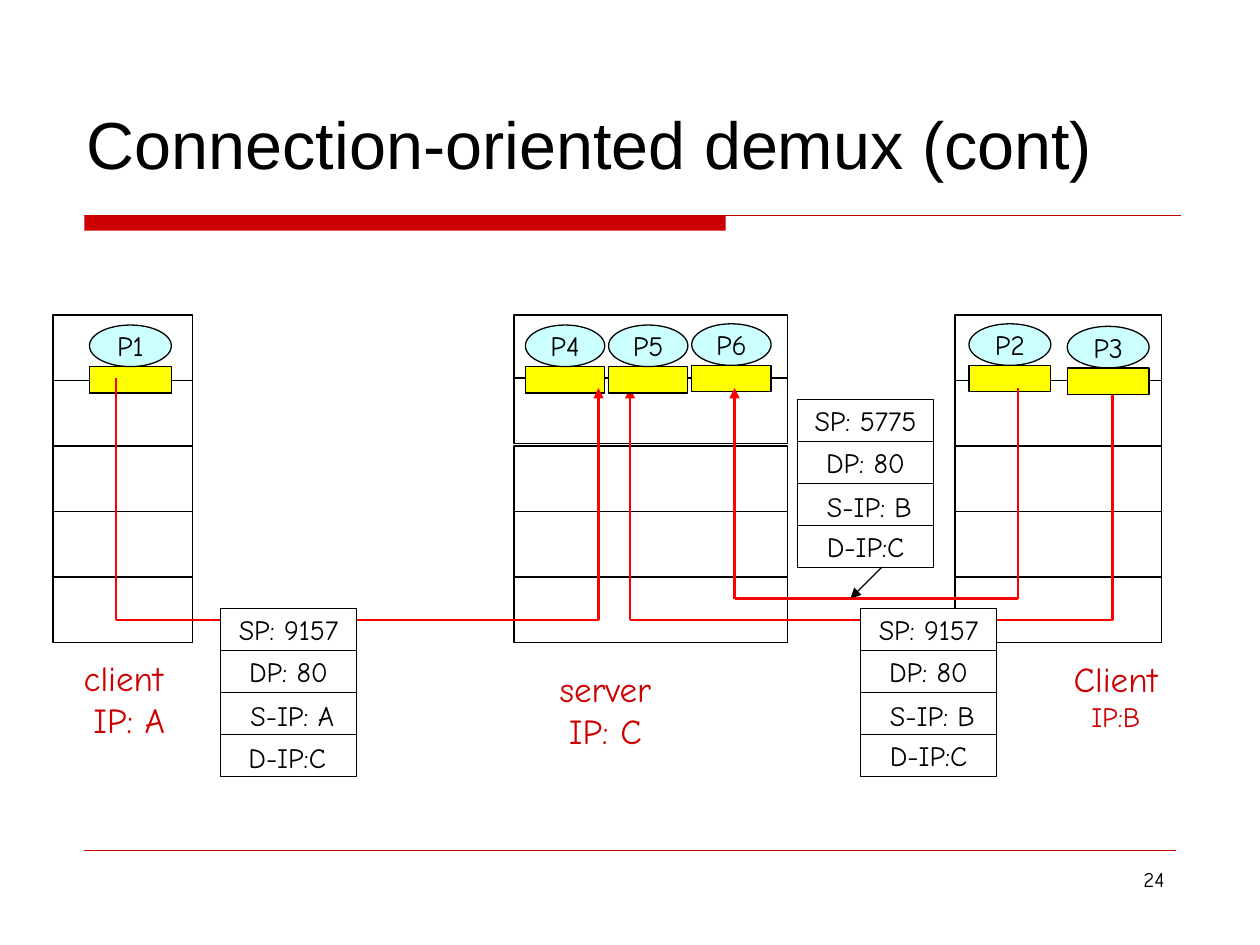
from lxml import etree
from pptx import Presentation
from pptx.dml.color import RGBColor
from pptx.enum.shapes import MSO_CONNECTOR, MSO_SHAPE
from pptx.enum.text import MSO_ANCHOR, PP_ALIGN
from pptx.oxml.ns import qn
from pptx.util import Inches, Pt

RECT, OVAL = MSO_SHAPE.RECTANGLE, MSO_SHAPE.OVAL
STRAIGHT = MSO_CONNECTOR.STRAIGHT
TOP, MIDDLE, BOTTOM = MSO_ANCHOR.TOP, MSO_ANCHOR.MIDDLE, MSO_ANCHOR.BOTTOM
LEFT, CENTER, RIGHT = PP_ALIGN.LEFT, PP_ALIGN.CENTER, PP_ALIGN.RIGHT

COLORS = {
    "black": "000000",
    "white": "FFFFFF",
    "accent": "CC0000",
    "route": "FF0000",
    "socket": "FFFF00",
    "process": "CCFFFF",
}
ROW_H = 0.52
FIELD_W, FIELD_H = 1.08, 1 / 3


def rgb(name):
    return RGBColor.from_string(COLORS[name])


def write(sp, text, size=16, font="Comic Neue", color="black", align=CENTER,
          anchor=MIDDLE, wrap=False, last_size=None):
    tf = sp.text_frame
    tf.word_wrap = wrap
    tf.vertical_anchor = anchor
    lines = text.split("\n")
    for i, line in enumerate(lines):
        p = tf.paragraphs[0] if i == 0 else tf.add_paragraph()
        p.alignment = align
        r = p.add_run()
        r.text = line
        r.font.name = font
        r.font.color.rgb = rgb(color)
        is_last = i == len(lines) - 1
        r.font.size = Pt(last_size if last_size and is_last else size)


def label(s, x, y, w, h, text, **fmt):
    sp = s.shapes.add_textbox(Inches(x), Inches(y), Inches(w), Inches(h))
    write(sp, text, **{"anchor": TOP, **fmt})


def box(s, x, y, w, h, fill="white", line="black", kind=RECT, text=None):
    sp = s.shapes.add_shape(kind, Inches(x), Inches(y), Inches(w), Inches(h))
    sp.shadow.inherit = False
    sp.fill.solid()
    sp.fill.fore_color.rgb = rgb(fill)
    if line:
        sp.line.color.rgb = rgb(line)
        sp.line.width = Pt(0.75)
    else:
        sp.line.fill.background()
    if text:
        write(sp, text)


def connect(s, x1, y1, x2, y2, color="route", width=1.5, arrow=False):
    c = s.shapes.add_connector(STRAIGHT, Inches(x1), Inches(y1), Inches(x2), Inches(y2))
    c.line.color.rgb = rgb(color)
    c.line.width = Pt(width)
    if arrow:
        etree.SubElement(c.line._get_or_add_ln(), qn("a:tailEnd"), type="triangle")
    etree.SubElement(c._element.spPr, qn("a:effectLst"))


def host(s, x, w, second_row=2.5 + ROW_H):
    for i in range(5):
        y = second_row if i == 1 else 2.5 + i * ROW_H
        box(s, x, y, w, ROW_H)


def process(s, x, y, w, name):
    box(s, x, y + 0.33, w, 0.21, fill="socket")
    box(s, x, y, w, 0.33, fill="process", kind=OVAL, text=name)


def route(s, x1, y1, x2, y2, level):
    connect(s, x1, y1, x1, level)
    connect(s, x1, level, x2, level)
    connect(s, x2, level, x2, y2, arrow=True)


def packet(s, x, y, port, source, loose_destination=False):
    destination = "D-IP:C"
    fields = [f"SP: {port}", "DP: 80", None, None if loose_destination else destination]
    for i, field in enumerate(fields):
        box(s, x, y + i * FIELD_H, FIELD_W, FIELD_H, text=field)
    label(s, x + 0.13, y + 2 * FIELD_H, 0.88, 0.37, f"S-IP: {source}")
    if loose_destination:
        label(s, x + 0.03, y + 3 * FIELD_H, 1, 0.37, destination)


def frame(s):
    box(s, 0.67, 1.71, 5.09, 0.12, fill="accent", line=None)
    connect(s, 0.67, 1.71, 9.37, 1.71, color="accent", width=1)
    connect(s, 0.67, 6.75, 9.33, 6.75, color="accent", width=0.25)
    label(s, 0.59, 0.25, 9.08, 1.25, "Connection-oriented demux (cont)", size=38,
          font="Arial", align=LEFT, anchor=BOTTOM, wrap=True)
    label(s, 7.17, 6.83, 2.17, 0.52, "24", size=12, align=RIGHT, wrap=True)


def main():
    prs = Presentation()
    prs.slide_width, prs.slide_height = Inches(10), Inches(7.5)
    s = prs.slides.add_slide(prs.slide_layouts[6])
    frame(s)

    host(s, 0.42, 1.11)
    host(s, 7.58, 1.64)
    host(s, 4.08, 2.17, second_row=3)
    host_name = {"size": 20, "color": "accent"}
    label(s, 0.55, 5.16, 0.86, 0.77, "client\n IP: A", **host_name)
    label(s, 4.34, 5.25, 0.93, 0.77, "server\nIP: C", **host_name)
    label(s, 8.42, 5.17, 0.87, 0.7, "Client\nIP:B", last_size=16, **host_name)

    process(s, 0.71, 2.58, 0.65, "P1")
    process(s, 7.69, 2.57, 0.65, "P2")
    process(s, 4.17, 2.58, 0.63, "P4")
    route(s, 0.92, 3, 4.75, 3.08, 4.92)
    route(s, 8.83, 3, 5, 3.08, 4.92)

    process(s, 4.83, 2.58, 0.63, "P5")
    process(s, 5.49, 2.57, 0.63, "P6")
    process(s, 8.47, 2.59, 0.65, "P3")
    route(s, 8.08, 3.08, 5.83, 3.08, 4.75)

    packet(s, 1.75, 4.83, 9157, "A", loose_destination=True)
    packet(s, 6.83, 4.83, 9157, "B")
    packet(s, 6.33, 3.17, 5775, "B")
    connect(s, 7, 4.5, 6.75, 4.75, color="black", width=0.75, arrow=True)

    prs.save("out.pptx")


if __name__ == "__main__":
    main()
